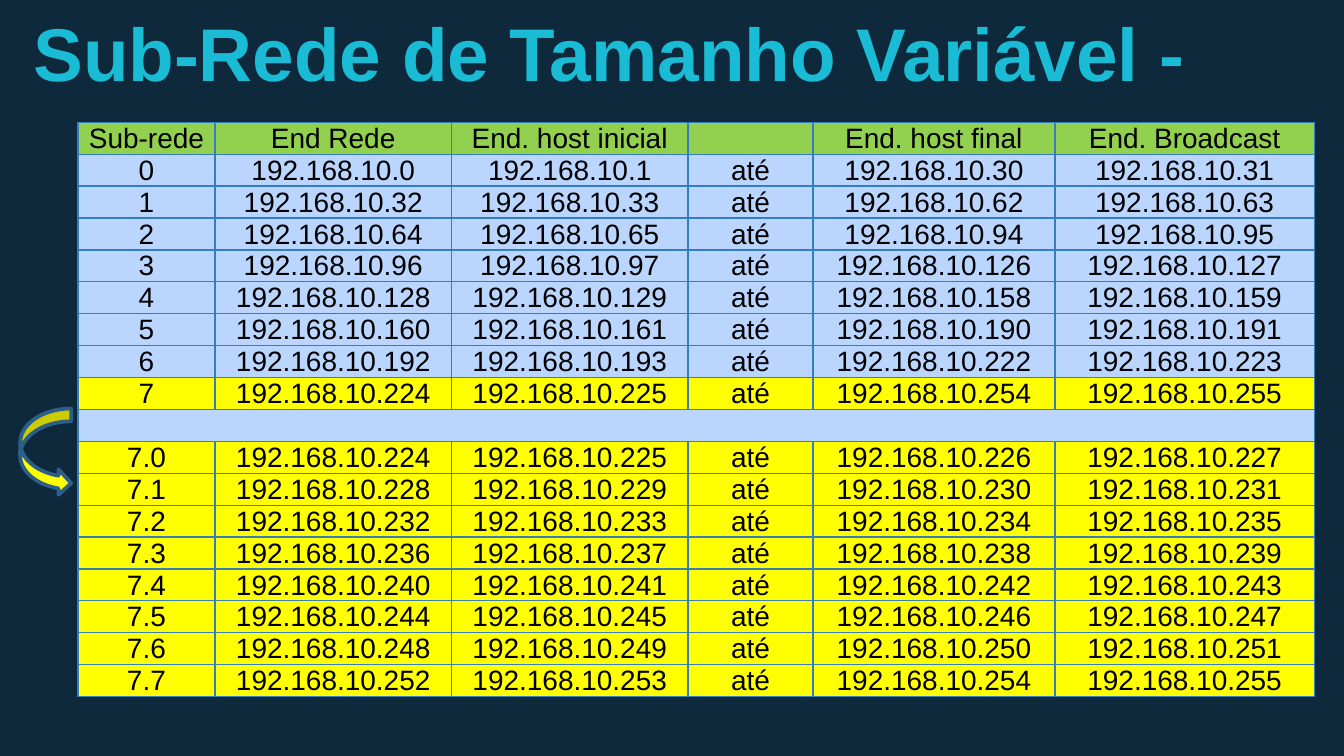
from lxml.etree import SubElement
from pptx import Presentation
from pptx.dml.color import RGBColor
from pptx.enum.shapes import MSO_SHAPE
from pptx.enum.text import MSO_ANCHOR, PP_ALIGN
from pptx.oxml.ns import qn
from pptx.util import Inches, Pt

NAVY = RGBColor(0x0E, 0x29, 0x3C)
CYAN = RGBColor(0x19, 0xBB, 0xD5)
GREEN = RGBColor(0x92, 0xD0, 0x50)
YELLOW = RGBColor(0xFF, 0xFF, 0x00)
PALE_BLUE = RGBColor(0xBA, 0xD6, 0xFF)
BORDER_BLUE = RGBColor(0x36, 0x7E, 0xB9)
OUTLINE_BLUE = RGBColor(0x2B, 0x5F, 0x8A)
BLACK = RGBColor(0, 0, 0)

HEADER = ["Sub-rede", "End Rede", "End. host inicial", "",
          "End. host final", "End. Broadcast"]
COLUMN_WIDTHS = [1.02, 1.76, 1.76, 0.93, 1.8, 1.93]


def subnet_row(label, start, size):
    first, low, high, last = (
        f"192.168.10.{start + n}" for n in (0, 1, size - 2, size - 1))
    return [label, first, low, "até", high, last]


class SlideBuilder:
    font_name = "Arial"
    title_size = Pt(40)
    cell_size = Pt(15)
    cell_margin = Pt(0.4)
    border_width = Pt(0.75)

    def __init__(self, prs):
        self.s = prs.slides.add_slide(prs.slide_layouts[6])
        fill = self.s.background.fill
        fill.solid()
        fill.fore_color.rgb = NAVY

    def style(self, p, size, color, bold=False):
        p.font.name = self.font_name
        p.font.size = size
        p.font.bold = bold
        p.font.color.rgb = color

    def title(self, text, x, y, w, h):
        tf = self.s.shapes.add_textbox(
            Inches(x), Inches(y), Inches(w), Inches(h)).text_frame
        tf.word_wrap = True
        tf.vertical_anchor = MSO_ANCHOR.BOTTOM
        tf.margin_left = tf.margin_right = Inches(0.1)
        tf.margin_top = tf.margin_bottom = Inches(0.1)
        p = tf.paragraphs[0]
        p.text = text
        self.style(p, self.title_size, CYAN, True)

    def curved_arrow(self, x, y, w, h):
        sp = self.s.shapes.add_shape(
            MSO_SHAPE.CURVED_RIGHT_ARROW,
            Inches(x), Inches(y), Inches(w), Inches(h))
        sp.shadow.inherit = False
        sp.fill.solid()
        sp.fill.fore_color.rgb = YELLOW
        sp.line.color.rgb = OUTLINE_BLUE
        sp.line.width = Pt(2)

    def borders(self, cell):
        props = cell._tc.get_or_add_tcPr()
        for i, side in enumerate(("lnL", "lnR", "lnT", "lnB")):
            ln = props.makeelement(
                qn(f"a:{side}"), {"w": str(self.border_width)})
            fill = SubElement(ln, qn("a:solidFill"))
            SubElement(fill, qn("a:srgbClr"), val=str(BORDER_BLUE))
            props.insert(i, ln)

    def cell(self, cell, text, color):
        cell.fill.solid()
        cell.fill.fore_color.rgb = color
        self.borders(cell)
        cell.vertical_anchor = MSO_ANCHOR.BOTTOM
        cell.margin_left = cell.margin_right = self.cell_margin
        cell.margin_top = self.cell_margin
        cell.margin_bottom = 0
        p = cell.text_frame.paragraphs[0]
        p.alignment = PP_ALIGN.CENTER
        self.style(p, self.cell_size, BLACK)
        if text:
            p.text = text
        else:
            SubElement(p._p, qn("a:endParaRPr"),
                       sz=str(int(self.cell_size.pt * 100)))

    def table(self, rows, widths, x, y, h, row_height):
        frame = self.s.shapes.add_table(
            len(rows), len(widths), Inches(x), Inches(y),
            Inches(sum(widths)), Inches(h))
        table = frame.table
        for column, width in zip(table.columns, widths):
            column.width = Inches(width)
        for i, (texts, color) in enumerate(rows):
            table.rows[i].height = Inches(row_height)
            for j, text in enumerate(texts):
                self.cell(table.cell(i, j), text, color)
            if not any(texts):
                table.cell(i, 0).merge(table.cell(i, len(widths) - 1))
        frame.height = Inches(h)


def main():
    prs = Presentation()
    prs.slide_width = Inches(10)
    prs.slide_height = prs.slide_width * 9 // 16

    rows = [(HEADER, GREEN)]
    rows += [(subnet_row(str(n), 32 * n, 32), YELLOW if n == 7 else PALE_BLUE)
             for n in range(8)]
    rows.append(([""] * len(HEADER), PALE_BLUE))
    rows += [(subnet_row(f"7.{n}", 224 + 4 * n, 4), YELLOW) for n in range(8)]

    slide = SlideBuilder(prs)
    slide.table(rows, COLUMN_WIDTHS, 0.58, 0.91, 4.59, 0.1)
    slide.curved_arrow(0.15, 3.04, 0.38, 0.65)
    slide.title("Sub-Rede de Tamanho Variável -", 0.15, 0.11, 9.64, 0.71)
    prs.save("out.pptx")


if __name__ == "__main__":
    main()
